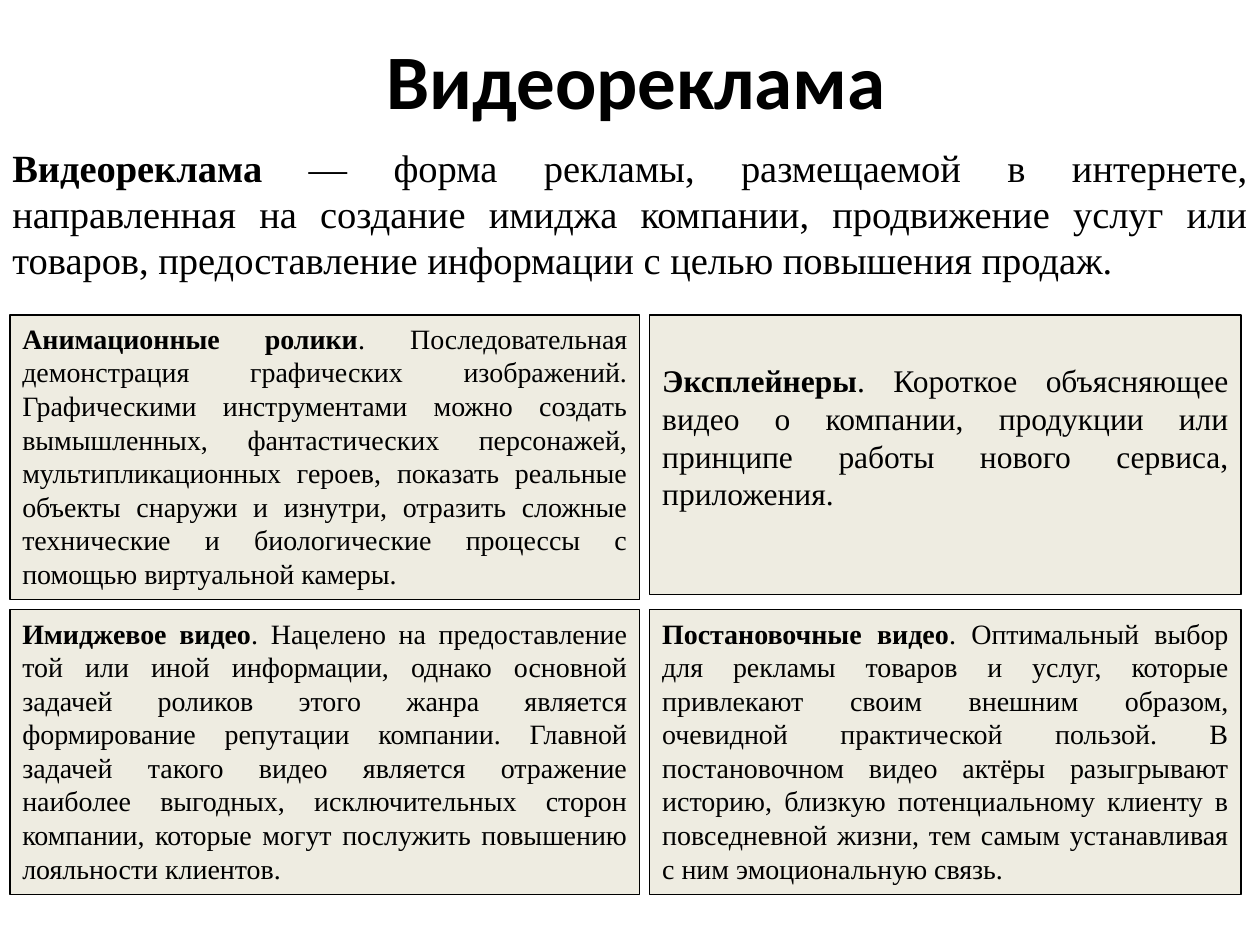
from pptx import Presentation
from pptx.dml.color import RGBColor
from pptx.enum.shapes import MSO_SHAPE
from pptx.enum.text import MSO_ANCHOR, PP_ALIGN
from pptx.util import Cm, Pt

COLORS = {"text": "000000", "card": "EEECE1", "border": "000000"}
BODY_FONT = "Times New Roman"

INTRO = (
    "Видеореклама",
    " — форма рекламы, размещаемой в интернете, направленная на создание "
    "имиджа компании, продвижение услуг или товаров, предоставление "
    "информации с целью повышения продаж.",
)
ANIMATION = (
    "Анимационные ролики",
    ". Последовательная демонстрация графических изображений. Графическими "
    "инструментами можно создать вымышленных, фантастических персонажей, "
    "мультипликационных героев, показать реальные объекты снаружи и изнутри, "
    "отразить сложные технические и биологические процессы с помощью "
    "виртуальной камеры.",
)
IMAGE_VIDEO = (
    "Имиджевое видео",
    ". Нацелено на предоставление той или иной информации, однако основной "
    "задачей роликов этого жанра является формирование репутации компании. "
    "Главной задачей такого видео является отражение наиболее выгодных, "
    "исключительных сторон компании, которые могут послужить повышению "
    "лояльности клиентов.",
)
STAGED_VIDEO = (
    "Постановочные видео",
    ". Оптимальный выбор для рекламы товаров и услуг, которые привлекают "
    "своим внешним образом, очевидной практической пользой. В постановочном "
    "видео актёры разыгрывают историю, близкую потенциальному клиенту в "
    "повседневной жизни, тем самым устанавливая с ним эмоциональную связь.",
)
EXPLAINERS = (
    "Эксплейнеры",
    ". Короткое объясняющее видео о компании, продукции или принципе работы "
    "нового сервиса, приложения.",
)


def color(key):
    return RGBColor.from_string(COLORS[key])


def add_run(paragraph, text, size, font, bold):
    run = paragraph.add_run()
    run.text = text
    run.font.size = Pt(size)
    run.font.name = font
    run.font.bold = bold
    run.font.color.rgb = color("text")


def write_definition(frame, definition, size):
    frame.word_wrap = True
    frame.vertical_anchor = MSO_ANCHOR.TOP
    paragraph = frame.paragraphs[0]
    paragraph.alignment = PP_ALIGN.JUSTIFY
    term, meaning = definition
    add_run(paragraph, term, size, BODY_FONT, True)
    add_run(paragraph, meaning, size, BODY_FONT, False)


def place_title(slide, left, top, width, height):
    title = slide.shapes.title
    title.left, title.top = Cm(left), Cm(top)
    title.width, title.height = Cm(width), Cm(height)
    frame = title.text_frame
    frame.vertical_anchor = MSO_ANCHOR.MIDDLE
    heading = frame.paragraphs[0]
    heading.alignment = PP_ALIGN.CENTER
    add_run(heading, "Видеореклама", 44, "Calibri", True)


def place_intro(slide, left, top, width, height):
    intro = slide.shapes.add_textbox(Cm(left), Cm(top), Cm(width), Cm(height))
    write_definition(intro.text_frame, INTRO, 22)


def place_card(slide, left, top, width, height, definition, size=16, inset=0.13):
    card = slide.shapes.add_shape(
        MSO_SHAPE.RECTANGLE, Cm(left), Cm(top), Cm(width), Cm(height)
    )
    card.shadow.inherit = False
    card.fill.solid()
    card.fill.fore_color.rgb = color("card")
    card.line.color.rgb = color("border")
    card.line.width = Pt(0.75)
    card.text_frame.margin_top = Cm(inset)
    write_definition(card.text_frame, definition, size)


def place_video_types(slide, left, top, width, height):
    gap = 0.2
    left_width = 12.7
    right = left + left_width + gap
    right_width = width - left_width - gap
    card_height = (height - gap) / 2
    lower = top + card_height + gap
    place_card(slide, left, top, left_width, card_height, ANIMATION)
    place_card(slide, left, lower, left_width, card_height, IMAGE_VIDEO)
    place_card(slide, right, lower, right_width, card_height, STAGED_VIDEO)
    place_card(slide, right, top, right_width, card_height - 0.1, EXPLAINERS,
               size=18, inset=0.93)


def main():
    presentation = Presentation()
    presentation.slide_width, presentation.slide_height = Cm(25.4), Cm(19.05)
    slide = presentation.slides.add_slide(presentation.slide_layouts[5])
    place_title(slide, 1.4, 0, 22.86, 3.18)
    place_intro(slide, 0, 2.77, 25.4, 3.07)
    place_video_types(slide, 0.2, 6.35, 24.82, 11.68)
    presentation.save("out.pptx")


if __name__ == "__main__":
    main()
